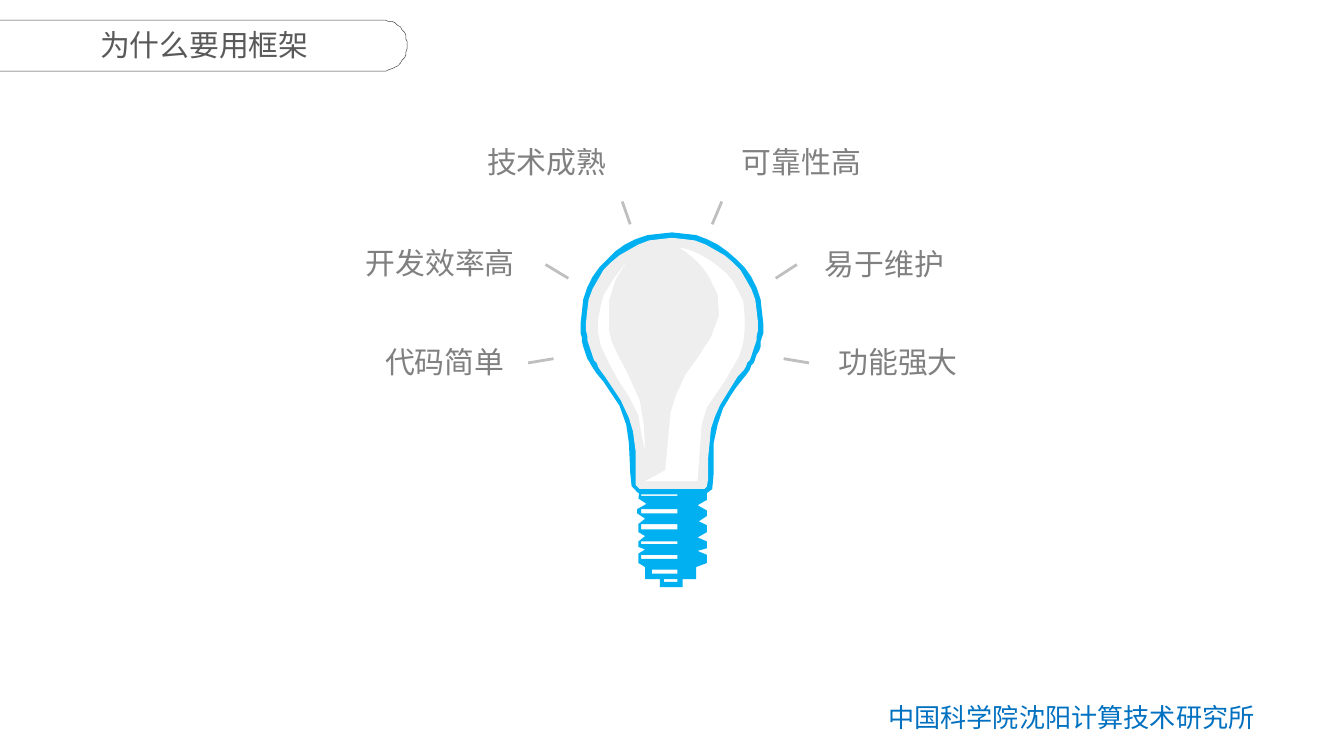
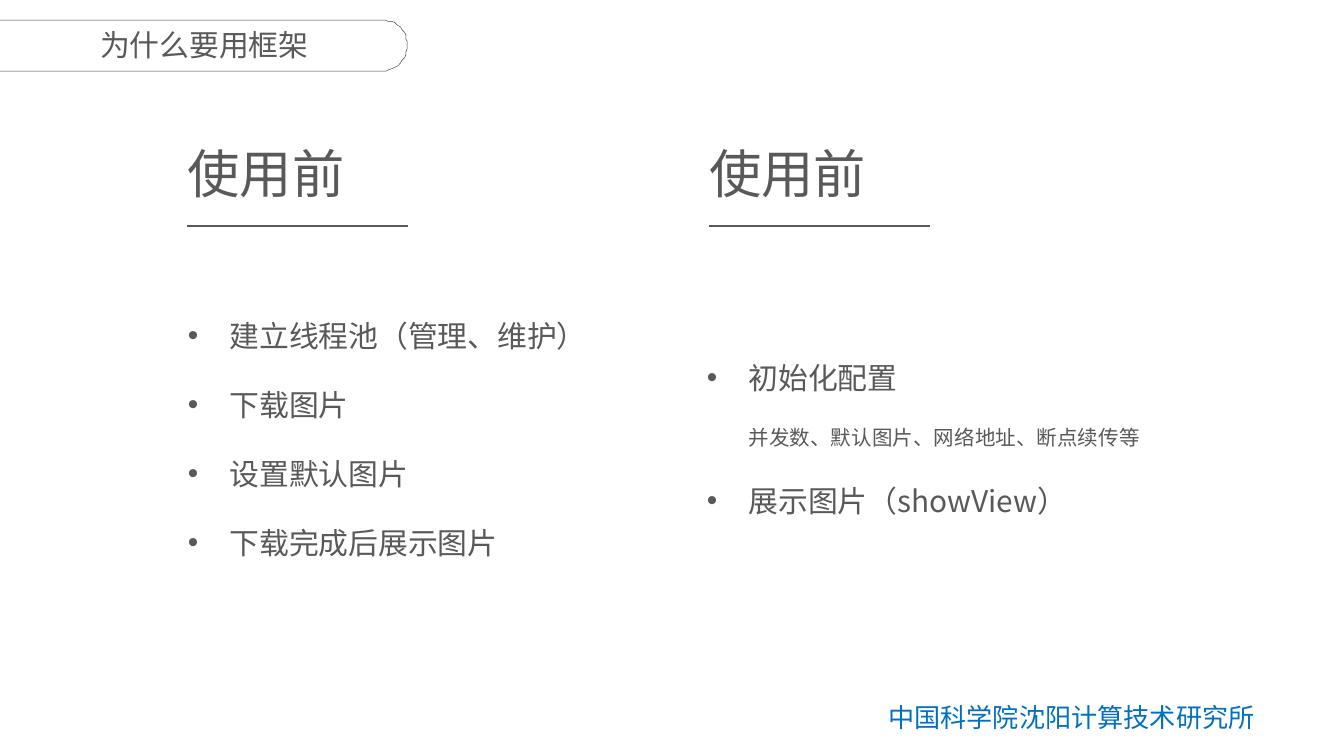
from dataclasses import dataclass
from typing import Iterator, Optional

from lxml.etree import SubElement
from pptx import Presentation
from pptx.dml.color import RGBColor
from pptx.enum.text import MSO_ANCHOR as Anchor, MSO_AUTO_SIZE as AutoSize, PP_ALIGN as Align
from pptx.enum.shapes import MSO_CONNECTOR as ConnectorType
from pptx.oxml.ns import qn
from pptx.shapes.autoshape import Shape
from pptx.slide import Slide
from pptx.util import Cm, Pt

FONT = "Noto Sans CJK SC"
COLOURS = {
    "text": "595959",
    "label": "808080",
    "footer": "0070C0",
    "badge": "404040",
    "ray": "BFBFBF",
    "bulb": "00B0F0",
    "glass": "EEEEEE",
    "shine": "FFFFFF",
}
TITLE = "为什么要用框架"
FOOTER = "中国科学院沈阳计算技术研究所"

# Outlines are in hundredths of 2.54 cm; a pair is a corner, six numbers are a Bézier curve.
OUTLINE_UNIT = Cm(2.54) / 100
CURVE_STEPS = 12
Outline = list[tuple[int, ...]]

BADGE: Outline = [(-1, 15), (284, 15), (295, 15, 303, 23, 303, 34),
                  (303, 44, 295, 53, 284, 53), (-1, 53)]
BULB_RIM: Outline = [
    (500, 173), (537, 173, 568, 203, 568, 241), (568, 255, 563, 267, 556, 278),
    (548, 288), (544, 294), (538, 304), (534, 316), (531, 330), (531, 353), (530, 364),
    (526, 367), (475, 367), (470, 362), (469, 352), (468, 330), (466, 316), (461, 302),
    (453, 290), (449, 284), (444, 278), (436, 267, 432, 255, 432, 241),
    (432, 203, 462, 173, 500, 173)]
GLASS: Outline = [
    (500, 177), (535, 177, 564, 205, 564, 240), (564, 253, 560, 265, 553, 276),
    (549, 280), (536, 301), (532, 310), (529, 319), (528, 330), (527, 340), (527, 356),
    (526, 362), (524, 364), (476, 364), (474, 362), (473, 361), (473, 336), (471, 321),
    (468, 311), (462, 298), (450, 280), (447, 276), (440, 265, 436, 253, 436, 240),
    (436, 205, 465, 177, 500, 177)]
LEFT_SHINE: Outline = [
    (466, 195), (458, 208), (453, 224), (453, 246), (455, 254), (460, 265), (466, 276),
    (471, 287), (476, 298), (479, 316), (480, 335), (477, 322), (475, 309), (468, 295),
    (460, 283), (453, 270), (447, 257), (445, 247), (445, 238), (447, 228), (449, 220),
    (457, 207)]
RIGHT_SHINE: Outline = [
    (505, 184), (513, 186), (520, 189), (527, 193), (534, 198), (540, 203), (545, 209),
    (549, 216), (553, 224), (554, 235), (554, 246), (553, 255), (550, 265), (539, 284),
    (526, 303), (522, 316), (521, 331), (520, 344), (519, 358), (480, 358), (495, 350),
    (499, 307), (503, 294), (510, 279), (520, 265), (529, 251), (535, 235), (534, 219),
    (527, 205), (522, 198), (517, 193), (511, 188)]
SCREW: Outline = [
    (526, 367), (524, 364), (476, 364), (475, 371), (481, 375), (474, 379), (474, 382),
    (480, 386), (475, 390), (475, 396), (480, 399), (475, 403), (475, 407), (480, 409),
    (475, 412), (475, 419), (480, 422), (480, 431), (491, 431), (491, 437), (508, 437),
    (508, 431), (518, 431), (518, 422), (526, 419), (526, 413), (519, 410), (526, 408),
    (526, 403), (519, 400), (526, 396), (526, 391), (520, 388), (526, 384), (526, 380),
    (519, 376), (526, 372)]
SLIT_RIGHT = 504
SLITS = [(477, 368, 369), (477, 379, 382), (477, 390, 394), (477, 403, 405),
         (477, 413, 416), (485, 424, 427), (494, 431, 433)]  # left, top, bottom


@dataclass(frozen=True)
class TextStyle:
    size: float
    colour: str = "text"
    align: Align = Align.LEFT


@dataclass(frozen=True)
class Box:
    """A place on the slide, in centimetres."""
    left: float
    top: float
    width: float
    height: float


@dataclass(frozen=True)
class Benefit:
    """A label beside the bulb, with the ray that points to it."""
    text: str
    box: Box
    align: Align
    ray: tuple[float, float, float, float]


@dataclass(frozen=True)
class Item:
    text: str
    size: float = 16
    bullet: bool = True


@dataclass(frozen=True)
class Column:
    heading: str
    heading_left: float
    list_left: float
    items: list[Item]


BENEFITS = [
    Benefit("代码简单", Box(3.56, 6.38, 6.22, 0.94), Align.RIGHT, (9.98, 6.86, 10.46, 6.78)),
    Benefit("开发效率高", Box(4.01, 4.5, 5.97, 0.94), Align.RIGHT, (10.31, 5, 10.74, 5.26)),
    Benefit("技术成熟", Box(4.7, 2.59, 7.01, 0.94), Align.RIGHT, (11.76, 3.81, 11.91, 4.24)),
    Benefit("可靠性高", Box(13.77, 2.59, 7.01, 0.94), Align.LEFT, (13.64, 3.81, 13.46, 4.24)),
    Benefit("易于维护", Box(15.34, 4.52, 6.88, 0.94), Align.LEFT, (15.06, 5, 14.66, 5.26)),
    Benefit("功能强大", Box(15.6, 6.38, 6.22, 0.94), Align.LEFT, (15.29, 6.86, 14.81, 6.78)),
]
COLUMNS = [
    Column("使用前", 3.3, 3.3, [
        Item("建立线程池（管理、维护）"),
        Item("下载图片"),
        Item("设置默认图片"),
        Item("下载完成后展示图片"),
    ]),
    Column("使用前", 13.16, 13.11, [
        Item("初始化配置"),
        Item("并发数、默认图片、网络地址、断点续传等", 11, False),
        Item("展示图片（showView）"),
    ]),
]


def rgb(colour: str) -> RGBColor:
    return RGBColor.from_string(COLOURS[colour])


def style_paragraph(paragraph, style: TextStyle) -> None:
    paragraph.alignment = style.align
    font = paragraph.font
    font.size = Pt(style.size)
    font.color.rgb = rgb(style.colour)
    font.name = FONT
    properties = paragraph._p.pPr.find(qn("a:defRPr"))
    SubElement(properties, qn("a:ea")).set("typeface", FONT)


def write_line(shape: Shape, text: str, style: TextStyle, wrap: bool = True) -> None:
    """Put one line of text in a shape that grows with it."""
    frame = shape.text_frame
    frame.text = text
    frame.word_wrap = wrap
    frame.auto_size = AutoSize.SHAPE_TO_FIT_TEXT
    frame.vertical_anchor = Anchor.TOP
    style_paragraph(frame.paragraphs[0], style)


def add_text_box(slide: Slide, box: Box) -> Shape:
    return slide.shapes.add_textbox(Cm(box.left), Cm(box.top), Cm(box.width), Cm(box.height))


def add_line(slide: Slide, ends: tuple[float, ...], colour: str, width: float) -> None:
    connector = slide.shapes.add_connector(ConnectorType.STRAIGHT, *map(Cm, ends))
    connector.line.color.rgb = rgb(colour)
    connector.line.width = Pt(width)
    SubElement(connector._element.spPr, qn("a:effectLst"))


def trace(outline: Outline) -> Iterator[tuple[float, float]]:
    """Yield the points of an outline, with its curves cut into short lines."""
    x, y = outline[0]
    yield x, y
    for step in outline[1:]:
        if len(step) == 6:
            x1, y1, x2, y2, x3, y3 = step
            for index in range(1, CURVE_STEPS + 1):
                t = index / CURVE_STEPS
                weights = ((1 - t) ** 3, 3 * t * (1 - t) ** 2, 3 * t * t * (1 - t), t ** 3)
                yield (sum(w * v for w, v in zip(weights, (x, x1, x2, x3))),
                       sum(w * v for w, v in zip(weights, (y, y1, y2, y3))))
        else:
            yield step
        x, y = step[-2:]


def add_outline(slide: Slide, outlines: list[Outline], fill: Optional[str] = None) -> Shape:
    """Draw outlines as one shape: filled and closed, or open without a fill."""
    builder = None
    for outline in outlines:
        start, *points = trace(outline)
        if builder is None:
            builder = slide.shapes.build_freeform(*start, scale=OUTLINE_UNIT)
        else:
            builder.move_to(*start)
        builder.add_line_segments(points, close=fill is not None)
    shape = builder.convert_to_shape()
    shape.shadow.inherit = False
    if fill:
        shape.fill.solid()
        shape.fill.fore_color.rgb = rgb(fill)
        shape.line.fill.background()
    else:
        shape.fill.background()
    return shape


def add_framed_slide(presentation) -> Slide:
    """Add a slide with the shared title, badge and footer."""
    slide = presentation.slides.add_slide(presentation.slide_layouts.get_by_name("Title Only"))
    badge = add_outline(slide, [BADGE])
    badge.line.color.rgb = rgb("badge")
    badge.line.width = Pt(0.25)
    title = slide.shapes.title
    title.left, title.top, title.width, title.height = Cm(0.69), Cm(0.38), Cm(6.35), Cm(0.94)
    write_line(title, TITLE, TextStyle(16, align=Align.CENTER))
    footer = add_text_box(slide, Box(16.48, 13.13, 7.49, 0.86))
    write_line(footer, FOOTER, TextStyle(14, "footer", Align.RIGHT), wrap=False)
    return slide


def add_bulb(slide: Slide) -> None:
    slits = [[(left, top), (SLIT_RIGHT, top), (SLIT_RIGHT, bottom), (left, bottom)]
             for left, top, bottom in SLITS]
    add_outline(slide, [BULB_RIM], "bulb")
    add_outline(slide, [GLASS], "glass")
    add_outline(slide, [LEFT_SHINE, RIGHT_SHINE], "shine")
    add_outline(slide, [SCREW, *slits], "bulb")


def add_benefit(slide: Slide, benefit: Benefit) -> None:
    label = add_text_box(slide, benefit.box)
    write_line(label, benefit.text, TextStyle(16, "label", benefit.align))
    add_line(slide, benefit.ray, "ray", 1.5)


def add_items(slide: Slide, box: Box, items: list[Item]) -> None:
    frame = add_text_box(slide, box).text_frame
    frame.word_wrap = True
    frame.vertical_anchor = Anchor.MIDDLE
    frame.margin_left = frame.margin_top = frame.margin_right = frame.margin_bottom = Cm(0.25)
    for index, item in enumerate(items):
        paragraph = frame.add_paragraph() if index else frame.paragraphs[0]
        paragraph.text = item.text
        paragraph.line_spacing = 1.3
        paragraph.space_before = Pt(6 if index else 0)
        paragraph.space_after = Pt(6)
        properties = paragraph._p.get_or_add_pPr()
        properties.set("marL", str(Cm(0.79)))
        properties.set("indent", str(Cm(-0.79 if item.bullet else 0)))
        if item.bullet:
            SubElement(properties, qn("a:buFont")).set("typeface", "Arial")
            SubElement(properties, qn("a:buChar")).set("char", "•")
        style_paragraph(paragraph, TextStyle(item.size, align=Align.JUSTIFY))


def add_column(slide: Slide, column: Column) -> None:
    heading = add_text_box(slide, Box(column.heading_left, 2.54, 3.51, 1.45))
    write_line(heading, column.heading, TextStyle(28), wrap=False)
    rule_left = column.heading_left + 0.24
    add_line(slide, (rule_left, 4.27, rule_left + 4.17, 4.27), "text", 0.75)
    add_items(slide, Box(column.list_left, 4.5, 8.99, 7.39), column.items)


def main() -> None:
    presentation = Presentation()
    presentation.slide_width, presentation.slide_height = Cm(25.4), Cm(14.29)

    benefits_slide = add_framed_slide(presentation)
    add_bulb(benefits_slide)
    for benefit in BENEFITS:
        add_benefit(benefits_slide, benefit)

    comparison_slide = add_framed_slide(presentation)
    for column in COLUMNS:
        add_column(comparison_slide, column)

    presentation.save("out.pptx")


if __name__ == "__main__":
    main()
